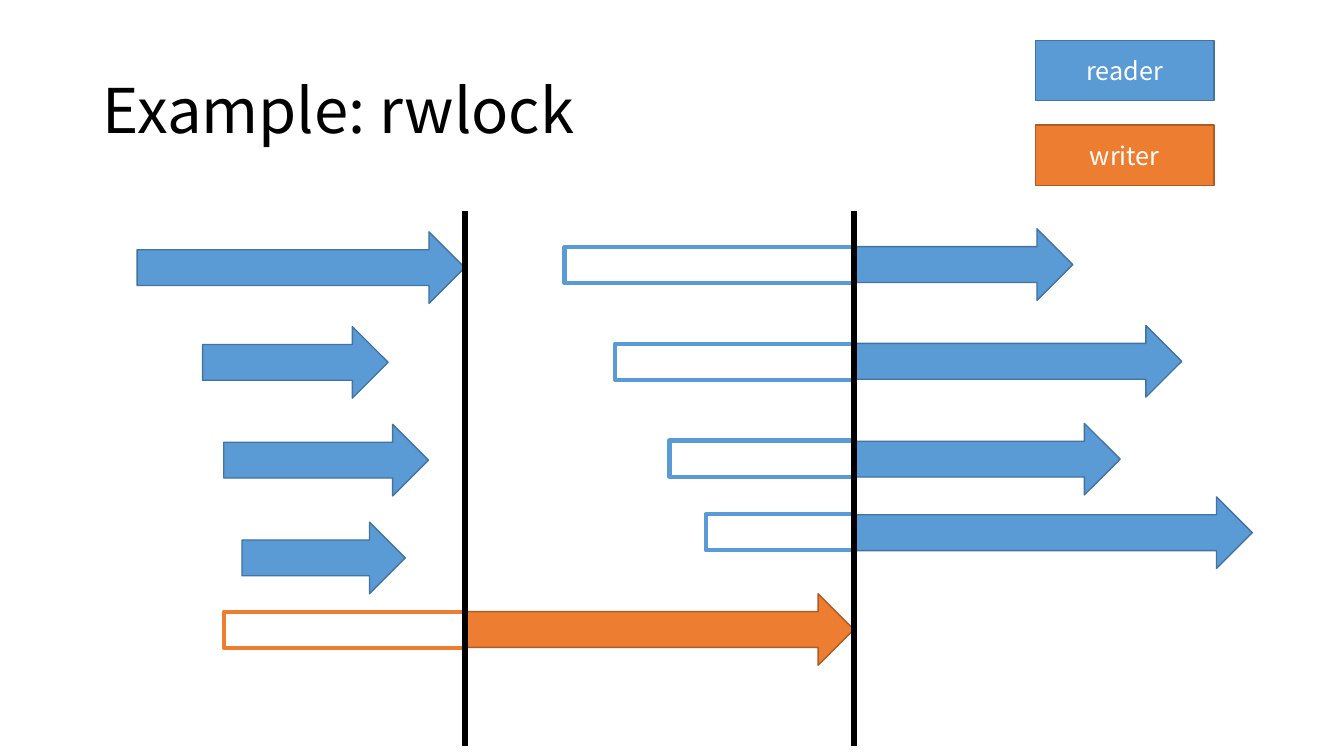
from lxml import etree
from pptx import Presentation
from pptx.dml.color import RGBColor
from pptx.enum.shapes import MSO_CONNECTOR, MSO_SHAPE
from pptx.enum.text import MSO_ANCHOR, MSO_AUTO_SIZE, PP_ALIGN
from pptx.oxml.ns import qn
from pptx.util import Pt

PX = 9144
FONT = "Noto Sans CJK TC"
ARROW, RECTANGLE = MSO_SHAPE.RIGHT_ARROW, MSO_SHAPE.RECTANGLE
STRAIGHT = MSO_CONNECTOR.STRAIGHT
LEFT, CENTER = PP_ALIGN.LEFT, PP_ALIGN.CENTER
MIDDLE = MSO_ANCHOR.MIDDLE
NO_AUTOFIT = MSO_AUTO_SIZE.NONE

READER, READER_EDGE = "5B9BD5", "43739E"
WRITER, WRITER_EDGE = "ED7D31", "AF5C24"
WRITER_START, WRITER_END = 461, 847
ARROW_HEIGHT, BAR_HEIGHT = 71, 36


def color(hex_string):
    return RGBColor.from_string(hex_string)


def add_box(kind, left, top, width, height, fill, edge, weight=1):
    shape = slide.shapes.add_shape(kind, left * PX, top * PX, width * PX, height * PX)
    shape.shadow.inherit = False
    if fill:
        shape.fill.solid()
        shape.fill.fore_color.rgb = color(fill)
    else:
        shape.fill.background()
    shape.line.color.rgb = color(edge)
    shape.line.width = Pt(weight)
    return shape


presentation = Presentation()
presentation.slide_width = 1333 * PX
presentation.slide_height = 750 * PX
slide = presentation.slides.add_slide(presentation.slide_layouts[5])

title = slide.shapes.title
title.left, title.top, title.width, title.height = 92 * PX, 40 * PX, 1150 * PX, 145 * PX
title.text_frame.text = "Example: rwlock"
title.text_frame.auto_size = NO_AUTOFIT
title.text_frame.vertical_anchor = MIDDLE
paragraph = title.text_frame.paragraphs[0]
paragraph.alignment = LEFT
paragraph.line_spacing = 0.9
font = paragraph.runs[0].font
font.name, font.size = FONT, Pt(44)
font.color.rgb = color("000000")

early_readers = [(136, 230, 325), (201, 324, 184), (222, 421, 203), (240, 518, 162)]
for left, top, width in early_readers:
    add_box(ARROW, left, top, width, ARROW_HEIGHT, READER, READER_EDGE)

waits = [
    (222, 607, WRITER_START, WRITER),
    (560, 245, WRITER_END, READER),
    (610, 341, WRITER_END, READER),
    (664, 437, WRITER_END, READER),
    (700, 510, WRITER_END, READER),
]
for left, top, end, edge in waits:
    add_box(RECTANGLE, left, top, end - left, BAR_HEIGHT, None, edge, 3)

add_box(ARROW, WRITER_START, 589, WRITER_END - WRITER_START, ARROW_HEIGHT, WRITER, WRITER_EDGE)

late_readers = [(227, 217), (323, 325), (420, 264), (493, 395)]
for top, width in late_readers:
    add_box(ARROW, WRITER_END, top, width, ARROW_HEIGHT, READER, READER_EDGE)

for x in (WRITER_START, WRITER_END):
    boundary = slide.shapes.add_connector(STRAIGHT, x * PX, 209 * PX, x * PX, 740 * PX)
    boundary.line.color.rgb = color("000000")
    boundary.line.width = Pt(4.5)
    etree.SubElement(boundary._element.spPr, qn("a:effectLst"))

legend = [("reader", 40, READER, READER_EDGE), ("writer", 124, WRITER, WRITER_EDGE)]
for label, top, fill, edge in legend:
    shape = add_box(RECTANGLE, 1027, top, 177, 60, fill, edge)
    shape.text_frame.text = label
    shape.text_frame.vertical_anchor = MIDDLE
    paragraph = shape.text_frame.paragraphs[0]
    paragraph.alignment = CENTER
    font = paragraph.runs[0].font
    font.name, font.size = FONT, Pt(18)
    font.color.rgb = color("FFFFFF")

presentation.save("out.pptx")
